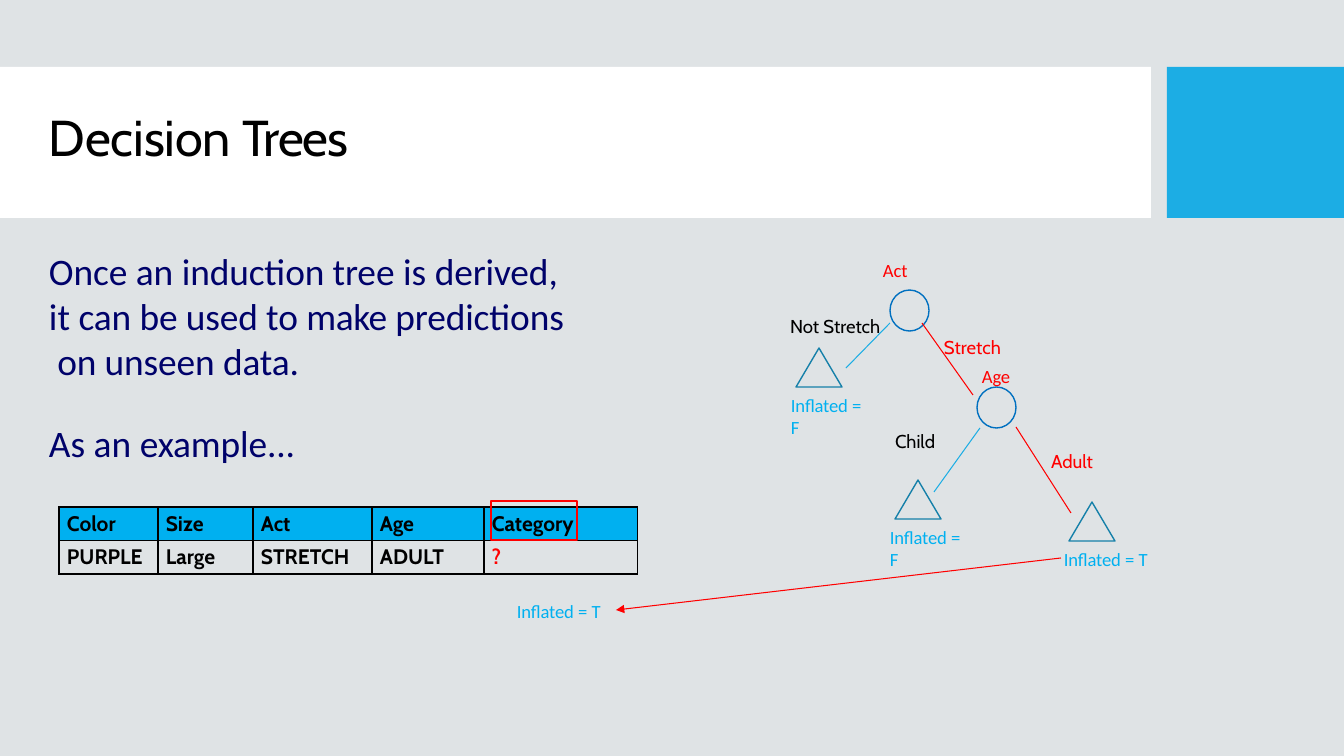
from copy import deepcopy

from lxml import etree
from pptx import Presentation
from pptx import util as u
from pptx.dml import color
from pptx.enum import shapes, text
from pptx.oxml import ns

SCALE = 12192000 / 1344
BLACK, RED, CYAN, NAVY = "000000", "FF0000", "00B0F0", "00026A"
BLUE, ACCENT, TEAL = "0070C0", "1CADE4", "1580A9"
NODE, LEAF = shapes.MSO_SHAPE.OVAL, shapes.MSO_SHAPE.ISOSCELES_TRIANGLE
RECT = shapes.MSO_SHAPE.RECTANGLE


def px(*values):
    return [u.Emu(round(v * SCALE)) for v in values]


def rgb(value):
    return color.RGBColor.from_string(value)


def add_runs(p, runs, size, font, ink, bold=False):
    for content, spacing in runs:
        if content == "\n":
            p.add_line_break()
            p._p[-1].append(deepcopy(r._r.rPr))
            continue
        r = p.add_run()
        r.text = content
        r.font.size = u.Pt(size)
        r.font.name = font
        r.font.bold = bold
        r.font.color.rgb = rgb(ink)
        if spacing:
            r._r.get_or_add_rPr().set("spc", str(spacing))


def set_frame(tf, left, top, right, bottom, anchor=text.MSO_ANCHOR.TOP):
    tf.word_wrap = True
    tf.auto_size = text.MSO_AUTO_SIZE.NONE
    tf.vertical_anchor = anchor
    tf.margin_left, tf.margin_top, tf.margin_right, tf.margin_bottom = px(left, top, right, bottom)


def place(sp, *box):
    sp.left, sp.top, sp.width, sp.height = px(*box)


def add_label(s, x, y, runs, ink):
    tf = s.shapes.add_textbox(*px(x, y, 92, 24)).text_frame
    set_frame(tf, 2, 2, 0, 0)
    p = tf.paragraphs[0]
    p.space_before = u.Pt(1.3)
    add_runs(p, runs, 13.3, "Calibri", ink)


def add_result(s, x, y, value):
    tail = [("\n", 0), ("F", -10)] if value == "F" else [("T", -90)]
    add_label(s, x, y, [("Inflated ", -10), ("= ", 0)] + tail, CYAN)


def add_branch_name(s, x, y, name, ink):
    tf = s.shapes.add_textbox(*px(x, y, 116, 33)).text_frame
    set_frame(tf, 10, 5, 10, 5)
    add_runs(tf.paragraphs[0], [(name, 0)], 13.3, "Cabin", ink)


def add_outline(s, kind, line, *box):
    sp = s.shapes.add_shape(kind, *px(*box))
    sp.shadow.inherit = False
    sp.fill.background()
    sp.line.color.rgb = rgb(line)
    sp.line.width = u.Pt(1)


def add_panel(s, fill, *box):
    sp = s.shapes.add_shape(RECT, *px(*box))
    sp.shadow.inherit = False
    sp.fill.solid()
    sp.fill.fore_color.rgb = rgb(fill)
    sp.line.fill.background()
    s.shapes._spTree.insert(2, sp._element)


def add_line(s, ink, *ends, arrow=False):
    c = s.shapes.add_connector(shapes.MSO_CONNECTOR.STRAIGHT, *px(*ends))
    c.line.color.rgb = rgb(ink)
    c.line.width = u.Pt(0.75)
    if arrow:
        etree.SubElement(c.line._get_or_add_ln(), ns.qn("a:tailEnd"), type="triangle")
    etree.SubElement(c._element.spPr, ns.qn("a:effectLst"))


def set_borders(cell):
    tcPr = cell._tc.get_or_add_tcPr()
    for i, side in enumerate(("lnL", "lnR", "lnT", "lnB")):
        ln = etree.Element(ns.qn("a:" + side), w="12700")
        fill = etree.SubElement(ln, ns.qn("a:solidFill"))
        etree.SubElement(fill, ns.qn("a:srgbClr"), val=BLACK)
        tcPr.insert(i, ln)


def add_data_table(s, x, y, widths, row_height, rows):
    shape = s.shapes.add_table(len(rows), len(widths),
                               *px(x, y, sum(widths), row_height * len(rows)))
    table = shape.table
    table.horz_banding = False
    for column, width in zip(table.columns, px(*widths)):
        column.width = width
    for i, row in enumerate(rows):
        for j, value in enumerate(row):
            cell = table.cell(i, j)
            cell.vertical_anchor = text.MSO_ANCHOR.MIDDLE
            cell.margin_left, cell.margin_right, cell.margin_top, cell.margin_bottom = px(8, 8, 4, 4)
            if i == 0:
                cell.fill.solid()
                cell.fill.fore_color.rgb = rgb(CYAN)
            else:
                cell.fill.background()
            ink = RED if value == "?" else BLACK
            add_runs(cell.text_frame.paragraphs[0], [(value, 0)], 15, "Cabin", ink, True)
            set_borders(cell)


def fill_title(sp):
    place(sp, 47, 97, 422, 77)
    set_frame(sp.text_frame, 2, 2, 0, 0, text.MSO_ANCHOR.MIDDLE)
    p = sp.text_frame.paragraphs[0]
    p.alignment = text.PP_ALIGN.LEFT
    p.space_before = u.Pt(1.3)
    add_runs(p, [("Decision ", -10), ("Trees", -70)], 36, "Cabin", BLACK)


def fill_body(sp):
    place(sp, 47, 246, 532, 221)
    tf = sp.text_frame
    set_frame(tf, 2, 2, 0, 0)
    intro = [("Once ", -10), ("an ", 0), ("induction tree ", -10), ("is ", 0),
             ("derived,", -10), ("\n", 0), ("it ", 0), ("can be used to ", -10),
             ("make ", -30), ("predictions", -10), ("\n", 0), (" on unseen data.", -10)]
    example = [("As an ", 0), ("example...", -10)]
    for p, runs, before in ((tf.paragraphs[0], intro, 1.3), (tf.add_paragraph(), example, 26.9)):
        pPr = p._p.get_or_add_pPr()
        pPr.set("marL", "0")
        pPr.set("indent", "0")
        etree.SubElement(pPr, ns.qn("a:buNone"))
        p.space_before = u.Pt(before)
        add_runs(p, runs, 26.7, "Calibri", NAVY)


def add_tree(s):
    for x, y, name, label_x, label_y in ((890, 290, "Act", 881, 257), (977, 387, "Age", 980, 363)):
        add_outline(s, NODE, BLUE, x, y, 39, 41)
        add_label(s, label_x, label_y, [(name, -10)], RED)
    for x, y, value in ((796, 348, "F"), (895, 480, "F"), (1069, 502, "T")):
        add_outline(s, LEAF, TEAL, x, y, 46, 39)
        add_result(s, x - 7, y + 44, value)
    for ink, *ends in ((ACCENT, 890, 323, 846, 368), (RED, 922, 323, 973, 395),
                       (ACCENT, 980, 428, 934, 492), (RED, 1016, 427, 1071, 513)):
        add_line(s, ink, *ends)
    for x, y, name, ink in ((780, 310, "Not Stretch", BLACK), (934, 331, "Stretch", RED),
                            (885, 425, "Child", BLACK), (1041, 445, "Adult", RED)):
        add_branch_name(s, x, y, name, ink)


def main():
    prs = Presentation()
    prs.slide_width, prs.slide_height = px(1344, 756)
    s = prs.slides.add_slide(prs.slide_layouts[1])
    s.background.fill.solid()
    s.background.fill.fore_color.rgb = rgb("DFE3E5")
    add_panel(s, "FFFFFF", 0, 67, 1151, 151)
    add_panel(s, ACCENT, 1167, 67, 177, 151)
    fill_title(s.shapes.title)
    fill_body(s.placeholders[1])
    add_data_table(s, 59, 507, (99, 95, 119, 112, 154), 33,
                   (("Color", "Size", "Act", "Age", "Category"),
                    ("PURPLE", "Large", "STRETCH", "ADULT", "?")))
    add_tree(s)
    add_outline(s, RECT, RED, 491, 501, 86, 39)
    add_line(s, RED, 1061, 558, 616, 610, arrow=True)
    add_result(s, 515, 598, "T")
    prs.save("out.pptx")


if __name__ == "__main__":
    main()
